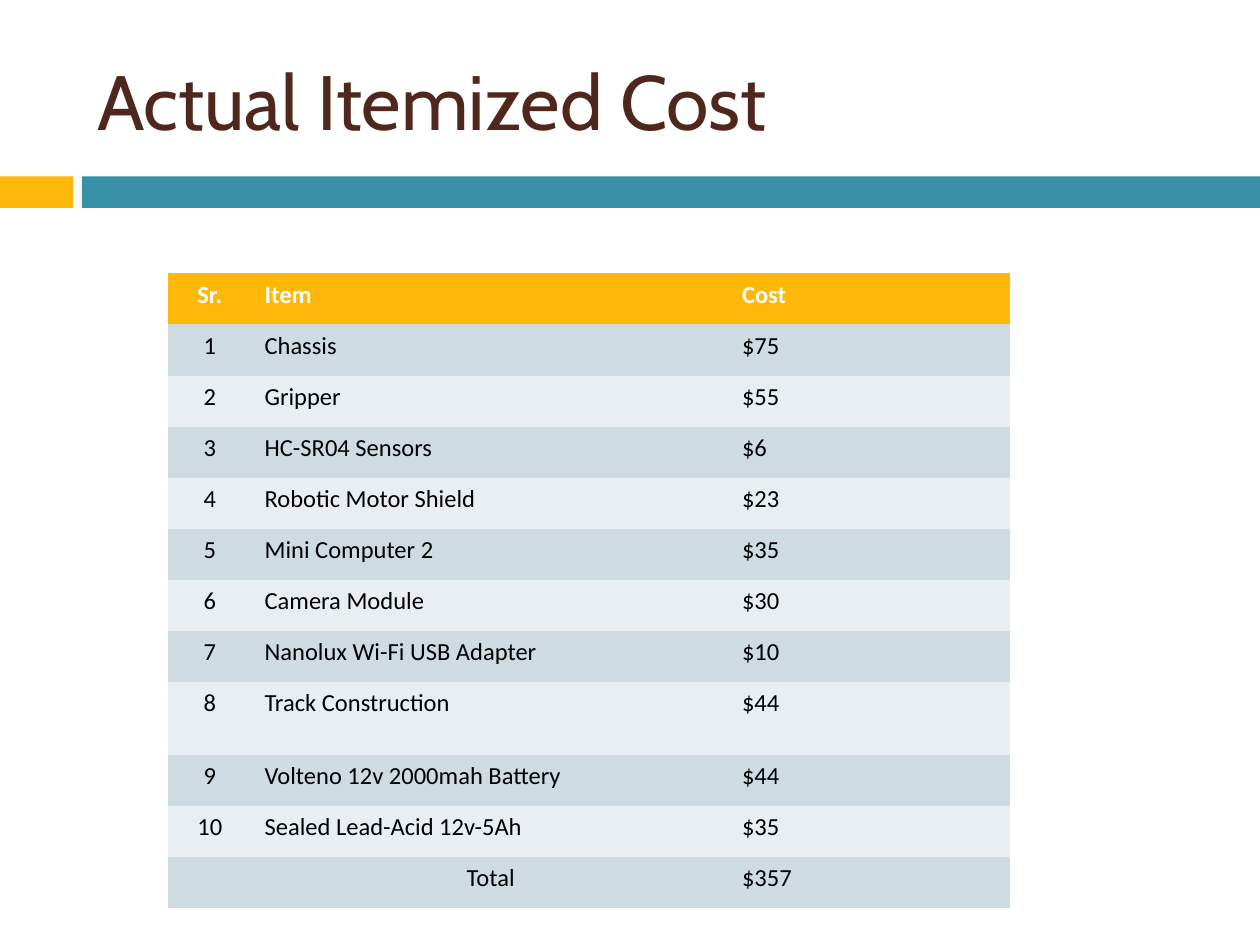
from dataclasses import dataclass

from pptx import Presentation
from pptx.dml.color import RGBColor
from pptx.enum.shapes import MSO_SHAPE
from pptx.enum.text import MSO_ANCHOR, PP_ALIGN
from pptx.oxml.ns import qn
from pptx.util import Inches, Pt


@dataclass(frozen=True)
class Theme:
    """Colours, fonts and type sizes of the deck."""
    gold: str = "FEB80A"
    teal: str = "3891A7"
    brown: str = "4F271C"
    white: str = "FFFFFF"
    black: str = "000000"
    bands: tuple = ("CEDCE1", "E8EEF1")
    head: str = "Cabin"
    body: str = "Calibri"
    big: int = 44
    small: int = 14


THEME = Theme()
PLAIN = "{2D5ABB26-0587-4C30-8999-92F81FD0307C}"
COSTS = [
    ("Sr.", "Item", "Cost"),
    ("1", "Chassis", "$75"),
    ("2", "Gripper", "$55"),
    ("3", "HC-SR04 Sensors", "$6"),
    ("4", "Robotic Motor Shield", "$23"),
    ("5", "Mini Computer 2", "$35"),
    ("6", "Camera Module", "$30"),
    ("7", "Nanolux Wi-Fi USB Adapter", "$10"),
    ("8", "Track Construction", "$44"),
    ("9", "Volteno 12v 2000mah Battery", "$44"),
    ("10", "Sealed Lead-Acid 12v-5Ah", "$35"),
    ("", "Total", "$357"),
]
WIDTHS = (0.67, 3.79, 2.23)
HEIGHT, TALL, TRACK = 5.04, 0.58, 8


def paint(fill, color):
    """Make a fill solid in the given colour."""
    fill.solid()
    fill.fore_color.rgb = RGBColor.from_string(color)


def style(para, name, size, color, bold=False, align=PP_ALIGN.LEFT):
    """Set the font and alignment of a paragraph."""
    para.alignment = align
    font = para.font
    font.name, font.size, font.bold = name, Pt(size), bold
    font.color.rgb = RGBColor.from_string(color)


def add_bar(slide, left, width, color):
    """Draw one part of the band below the title."""
    bar = slide.shapes.add_shape(
        MSO_SHAPE.RECTANGLE, Inches(left), Inches(1.4), Inches(width), Inches(0.25))
    bar.shadow.inherit = False
    paint(bar.fill, color)
    bar.line.fill.background()


def set_title(slide, text):
    """Place and format the slide title."""
    title = slide.shapes.title
    title.left, title.top = Inches(0.67), Inches(0.25)
    title.width, title.height = Inches(8.92), Inches(1.08)
    frame = title.text_frame
    frame.text = text
    frame.vertical_anchor = MSO_ANCHOR.MIDDLE
    style(frame.paragraphs[0], THEME.head, THEME.big, THEME.brown)


def fill_cell(cell, text, row, col):
    """Write one table cell and colour it by its row."""
    head = row == 0
    paint(cell.fill, THEME.gold if head else THEME.bands[(row - 1) % 2])
    cell.text = text
    mid = col == 0 or text == "Total"
    style(cell.text_frame.paragraphs[0], THEME.body, THEME.small,
          THEME.white if head else THEME.black, head,
          PP_ALIGN.CENTER if mid else PP_ALIGN.LEFT)


def add_costs(slide):
    """Add the table of item costs."""
    table = slide.shapes.add_table(
        len(COSTS), len(WIDTHS), Inches(1.33), Inches(2.17),
        Inches(sum(WIDTHS)), Inches(HEIGHT)).table
    table._tbl.tblPr.find(qn("a:tableStyleId")).text = PLAIN
    for col, width in zip(table.columns, WIDTHS):
        col.width = Inches(width)
    step = (HEIGHT - TALL) / (len(COSTS) - 1)
    for row, texts in enumerate(COSTS):
        table.rows[row].height = Inches(TALL if row == TRACK else step)
        for col, text in enumerate(texts):
            fill_cell(table.cell(row, col), text, row, col)


def main():
    """Build and save the cost slide."""
    deck = Presentation()
    deck.slide_width, deck.slide_height = Inches(10), Inches(7.5)
    slide = deck.slides.add_slide(deck.slide_layouts[5])
    add_bar(slide, 0, 0.58, THEME.gold)
    add_bar(slide, 0.65, 9.35, THEME.teal)
    set_title(slide, "Actual Itemized Cost")
    add_costs(slide)
    deck.save("out.pptx")


if __name__ == "__main__":
    main()
